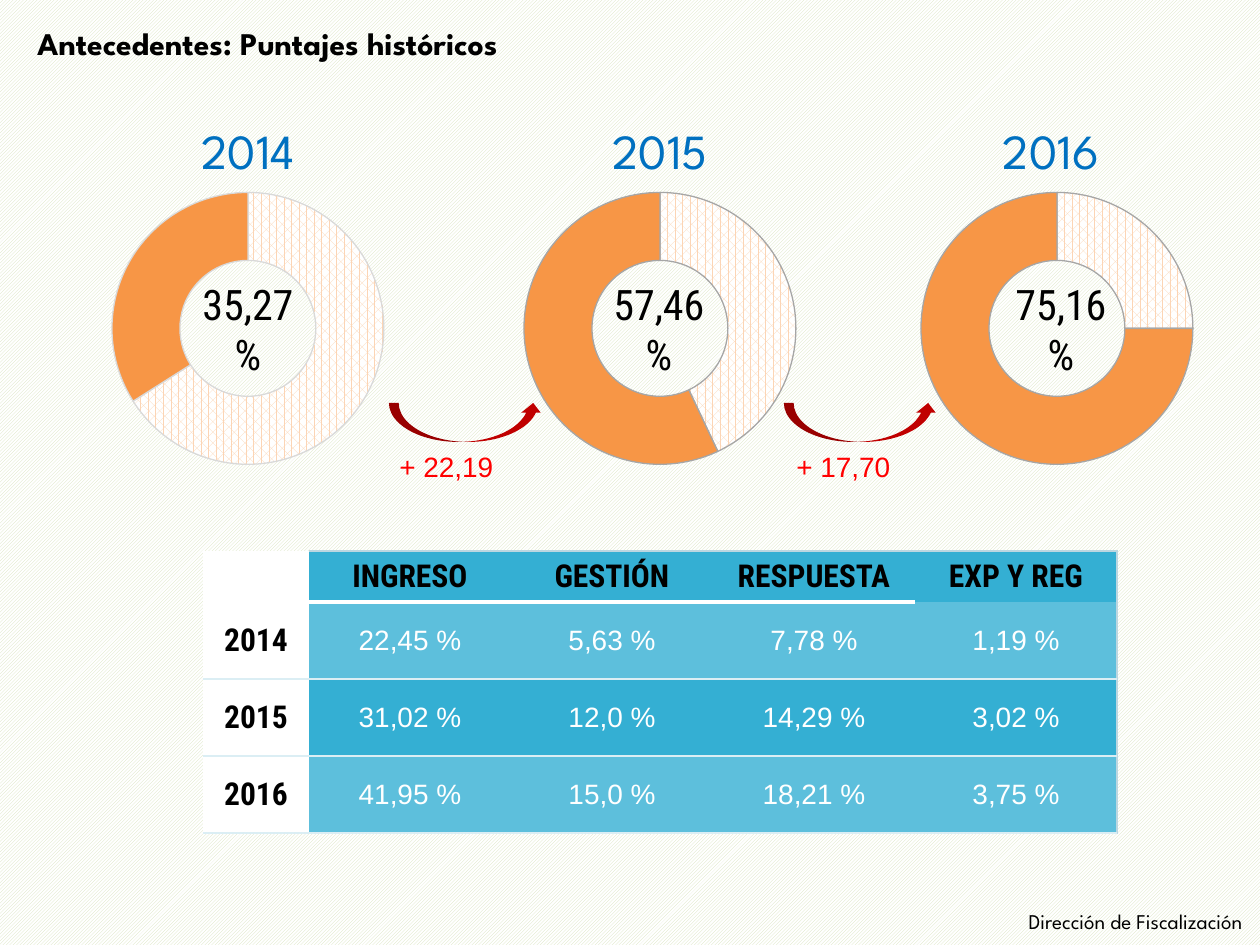
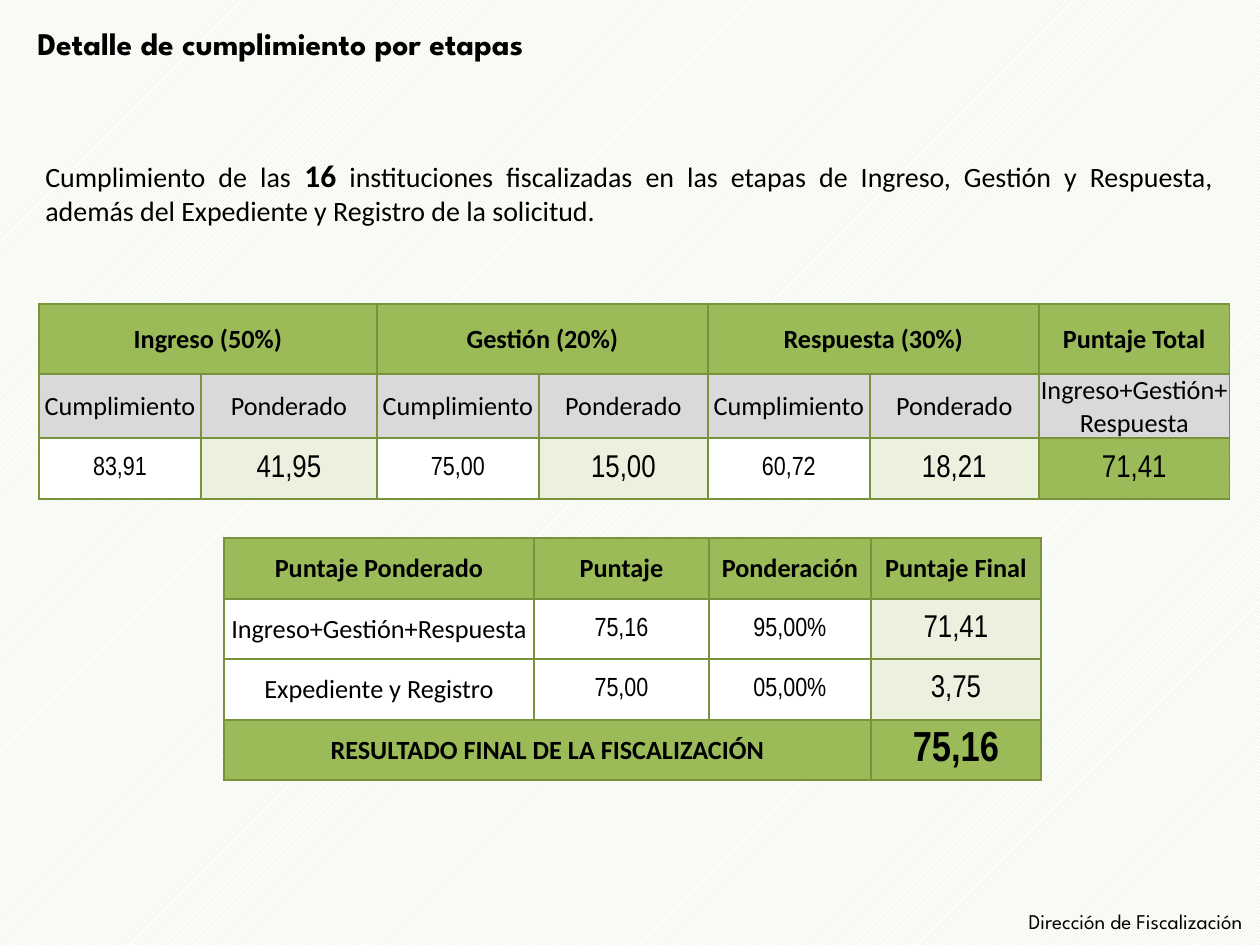
from pptx import Presentation
from pptx.chart.data import CategoryChartData
from pptx.dml.color import RGBColor
from pptx.enum.chart import XL_CHART_TYPE
from pptx.enum.dml import MSO_PATTERN
from pptx.enum.shapes import MSO_SHAPE
from pptx.enum.text import MSO_ANCHOR, PP_ALIGN
from pptx.oxml import parse_xml
from pptx.oxml.ns import nsdecls, qn
from pptx.util import Pt

LEFT, CENTER, RIGHT, JUSTIFY = PP_ALIGN.LEFT, PP_ALIGN.CENTER, PP_ALIGN.RIGHT, PP_ALIGN.JUSTIFY
TOP, MIDDLE = MSO_ANCHOR.TOP, MSO_ANCHOR.MIDDLE
DOUGHNUT = XL_CHART_TYPE.DOUGHNUT
CURVED_ARROW = MSO_SHAPE.CURVED_UP_ARROW
LIGHT_DIAGONAL, DOTS = MSO_PATTERN.LIGHT_UPWARD_DIAGONAL, MSO_PATTERN.PERCENT_60
EMU_PER_PX = 914400 / 126
NO_STYLE_TABLE = "{2D5ABB26-0587-4C30-8999-92F81FD0307C}"

BLACK, WHITE, ORANGE = "000000", "FFFFFF", "F79646"
GREEN, PALE_GREEN, GREEN_LINE, GREY = "9BBB59", "EBF1DE", "77933C", "D9D9D9"
BLUE, LIGHT_BLUE, BLUE_EDGE, BLUE_LINE = "34AFD3", "5DBFDC", "BCD7E1", "DBEEF4"


def font_style(name, size, color=BLACK, bold=False):
    return {"name": name, "size": Pt(size), "color": color, "bold": bold}


TITLE = font_style("League Spartan", 18, bold=True)
FOOTER = font_style("League Spartan", 12)
YEAR = font_style("League Spartan", 28, "0070C0")
SCORE = font_style("Roboto Condensed", 24)
GAIN = font_style("Arial", 16, "FF0000")
HISTORY_HEAD = font_style("Roboto Condensed", 18, bold=True)
HISTORY_VALUE = font_style("Arial", 16, WHITE)
BODY = font_style("Calibri", 16)
BODY_STRONG = font_style("Calibri", 18, bold=True)
LABEL = font_style("Calibri", 15)
LABEL_STRONG = font_style("Calibri", 15, bold=True)
VALUE = font_style("Arial Narrow", 15)
VALUE_LARGE = font_style("Arial Narrow", 18)
RESULT = font_style("Arial Narrow", 24, bold=True)

FOOTER_TEXT = "Dirección de Fiscalización"
HISTORY_TITLE = "Antecedentes: Puntajes históricos"
STAGES_TITLE = "Detalle de cumplimiento por etapas"

# Year, score, ring shares, ring line, then the centres of ring, year and score
RINGS = [
    ("2014", "35,27%", (66, 34), "D9D9D9", 248, 248, 248),
    ("2015", "57,46%", (43, 57), "A6A6A6", 660, 660, 659),
    ("2016", "75,16%", (25, 75), "A6A6A6", 1057, 1051, 1061),
]
# Gain, left of arrow, left of text
GAINS = [("+ 22,19", 389, 387), ("+ 17,70", 784, 784)]

HISTORY = [
    ["", "INGRESO", "GESTIÓN", "RESPUESTA", "EXP Y REG"],
    ["2014", "22,45 %", "5,63 %", "7,78 %", "1,19 %"],
    ["2015", "31,02 %", "12,0 %", "14,29 %", "3,02 %"],
    ["2016", "41,95 %", "15,0 %", "18,21 %", "3,75 %"],
]

INTRO = [
    ("Cumplimiento de las ", BODY),
    ("16", BODY_STRONG),
    (" instituciones fiscalizadas en las etapas de Ingreso, Gestión y Respuesta, "
     "además del Expediente y Registro de la solicitud.", BODY),
]

# Cell kinds of the green tables: font, fill
KINDS = {
    "head": (LABEL_STRONG, GREEN),
    "subhead": (LABEL, GREY),
    "label": (LABEL, WHITE),
    "value": (VALUE, WHITE),
    "weighted": (VALUE_LARGE, PALE_GREEN),
    "total": (VALUE_LARGE, GREEN),
    "result": (RESULT, GREEN),
}
# None continues the cell on its left
STAGES = [
    ["Ingreso (50%)", None, "Gestión (20%)", None, "Respuesta (30%)", None, "Puntaje Total"],
    ["Cumplimiento", "Ponderado"] * 3 + ["Ingreso+Gestión+Respuesta"],
    ["83,91", "41,95", "75,00", "15,00", "60,72", "18,21", "71,41"],
]
STAGE_KINDS = [["head"] * 7, ["subhead"] * 7, ["value", "weighted"] * 3 + ["total"]]
FINAL = [
    ["Puntaje Ponderado", "Puntaje", "Ponderación", "Puntaje Final"],
    ["Ingreso+Gestión+Respuesta", "75,16", "95,00%", "71,41"],
    ["Expediente y Registro", "75,00", "05,00%", "3,75"],
    ["RESULTADO FINAL DE LA FISCALIZACIÓN", None, None, "75,16"],
]
FINAL_ROW = ["label", "value", "value", "weighted"]
FINAL_KINDS = [["head"] * 4, FINAL_ROW, FINAL_ROW, ["head"] * 3 + ["result"]]


def px(length):
    return round(length * EMU_PER_PX)


def rgb(color):
    return RGBColor.from_string(color)


def fill_solid(fill, color):
    fill.solid()
    fill.fore_color.rgb = rgb(color)


def fill_pattern(fill, pattern, color):
    fill.patterned()
    fill.pattern = pattern
    fill.fore_color.rgb = rgb(color)
    fill.back_color.rgb = rgb(WHITE)


def set_font(font, style):
    for name, value in style.items():
        if name == "color":
            font.color.rgb = rgb(value)
        else:
            setattr(font, name, value)


def write(frame, runs, align):
    paragraph = frame.paragraphs[0]
    paragraph.alignment = align
    for text, style in runs:
        run = paragraph.add_run()
        run.text = text
        set_font(run.font, style)


def add_text(slide, box, runs, align=CENTER, anchor=MIDDLE):
    frame = slide.shapes.add_textbox(*map(px, box)).text_frame
    frame.word_wrap = True
    frame.vertical_anchor = anchor
    write(frame, runs, align)


def add_slide(presentation, title):
    """Add a slide with the shared background, title and footer."""
    slide = presentation.slides.add_slide(presentation.slide_layouts[6])
    fill_pattern(slide.background.fill, LIGHT_DIAGONAL, "D5E1B9")
    add_text(slide, (25, 18, 883, 50), [(title, TITLE)], LEFT, TOP)
    add_text(slide, (819, 908, 436, 26), [(FOOTER_TEXT, FOOTER)], RIGHT)
    return slide


def set_borders(cell, borders):
    properties = cell._tc.get_or_add_tcPr()
    for side in "LRTB":
        if side in borders:
            color, points = borders[side]
            properties.append(parse_xml(
                f'<a:ln{side} {nsdecls("a")} w="{Pt(points)}"><a:solidFill>'
                f'<a:srgbClr val="{color}"/></a:solidFill></a:ln{side}>'))


def add_table(slide, left, top, widths, heights, rows, cell_format, margin=None):
    """Draw rows; cell_format(row, column) gives font, fill and borders."""
    table = slide.shapes.add_table(
        len(rows), len(widths),
        *map(px, (left, top, sum(widths), sum(heights)))).table
    table.first_row = table.horz_banding = False
    table._tbl.tblPr.find(qn("a:tableStyleId")).text = NO_STYLE_TABLE
    for column, width in zip(table.columns, widths):
        column.width = px(width)
    for row, height in zip(table.rows, heights):
        row.height = px(height)
    for i, row in enumerate(rows):
        for j, text in enumerate(row):
            cell = table.cell(i, j)
            style, color, borders = cell_format(i, j)
            set_borders(cell, borders)
            fill_solid(cell.fill, color)
            cell.vertical_anchor = MIDDLE
            if margin is not None:
                cell.margin_left = cell.margin_right = cell.margin_top = px(margin)
                cell.margin_bottom = 0
            if text:
                write(cell.text_frame, [(text, style)], CENTER)
        for j, text in enumerate(row):
            if text is not None:
                end = j
                while end + 1 < len(row) and row[end + 1] is None:
                    end += 1
                if end > j:
                    table.cell(i, j).merge(table.cell(i, end))


def history_format(row, column):
    borders = {}
    last = column == len(HISTORY[0]) - 1
    if row:
        borders["B"] = (BLUE_LINE, 1)
    elif column:
        borders["T"] = (BLUE_EDGE, 0.75)
        if not last:
            borders["B"] = (WHITE, 3)
    if last:
        borders["R"] = (BLUE_EDGE, 0.75)
    style = HISTORY_VALUE if row and column else HISTORY_HEAD
    color = WHITE if column == 0 else LIGHT_BLUE if row % 2 else BLUE
    return style, color, borders


def green_format(kinds):
    borders = dict.fromkeys("LRTB", (GREEN_LINE, 1))
    return lambda row, column: (*KINDS[kinds[row][column]], borders)


def add_ring(slide, center, shares, line_color):
    data = CategoryChartData()
    data.categories = ["1", "2"]
    data.add_series("Series 1", shares)
    chart = slide.shapes.add_chart(
        DOUGHNUT, *map(px, (center - 170, 175, 340, 307)), data).chart
    chart.has_legend = chart.has_title = False
    set_font(chart.font, font_style("Calibri", 18))
    plot = chart.plots[0]
    plot.has_data_labels = False
    for index in range(len(shares)):
        point_format = plot.series[0].points[index].format
        if index == 0:
            fill_pattern(point_format.fill, DOTS, "FCD5B5")
        else:
            fill_solid(point_format.fill, ORANGE)
        point_format.line.color.rgb = rgb(line_color)
        point_format.line.width = Pt(0.75)
    place_plot(chart, {"x": 0.1, "y": 0.055, "w": 0.8, "h": 0.89})


def place_plot(chart, fractions):
    """Fix the plot area inside a transparent chart."""
    chart_element = chart._chartSpace.find(qn("c:chart"))
    plot_area = chart_element.find(qn("c:plotArea"))
    for layout in plot_area.findall(qn("c:layout")):
        plot_area.remove(layout)
    sizes = "".join(f'<c:{name} val="{value}"/>' for name, value in fractions.items())
    plot_area.insert(0, parse_xml(
        f'<c:layout {nsdecls("c")}><c:manualLayout><c:layoutTarget val="inner"/>'
        f'<c:xMode val="edge"/><c:yMode val="edge"/>{sizes}</c:manualLayout></c:layout>'))
    clear = (f'<c:spPr {nsdecls("c", "a")}><a:noFill/>'
             '<a:ln><a:noFill/></a:ln></c:spPr>')
    plot_area.append(parse_xml(clear))
    chart_element.addnext(parse_xml(clear))


def build_history(presentation):
    slide = add_slide(presentation, HISTORY_TITLE)
    add_table(slide, 203, 551, [106] + [202] * 4, [51] + [77] * 3, HISTORY, history_format)
    for year, score, shares, line_color, ring_x, year_x, score_x in RINGS:
        add_ring(slide, ring_x, shares, line_color)
        add_text(slide, (year_x - 104, 135, 208, 30), [(year, YEAR)])
        add_text(slide, (score_x - 64, 304, 128, 49), [(score, SCORE)])
    for gain, arrow_left, text_left in GAINS:
        arrow = slide.shapes.add_shape(CURVED_ARROW, *map(px, (arrow_left, 403, 154, 39)))
        arrow.shadow.inherit = False
        fill_solid(arrow.fill, "C00000")
        arrow.line.fill.background()
        add_text(slide, (text_left, 442, 154, 49), [(gain, GAIN)], LEFT)


def build_stages(presentation):
    slide = add_slide(presentation, STAGES_TITLE)
    add_text(slide, (33, 150, 1193, 84), INTRO, JUSTIFY, TOP)
    add_table(slide, 39, 304, [162, 176, 162, 169, 162, 169, 191], [70, 64, 61],
              STAGES, green_format(STAGE_KINDS), margin=1)
    add_table(slide, 224, 538, [310, 175, 162, 170], [61, 60] * 2,
              FINAL, green_format(FINAL_KINDS), margin=1)


def main():
    presentation = Presentation()
    presentation.slide_width, presentation.slide_height = px(1260), px(945)
    build_history(presentation)
    build_stages(presentation)
    presentation.save("out.pptx")


if __name__ == "__main__":
    main()
